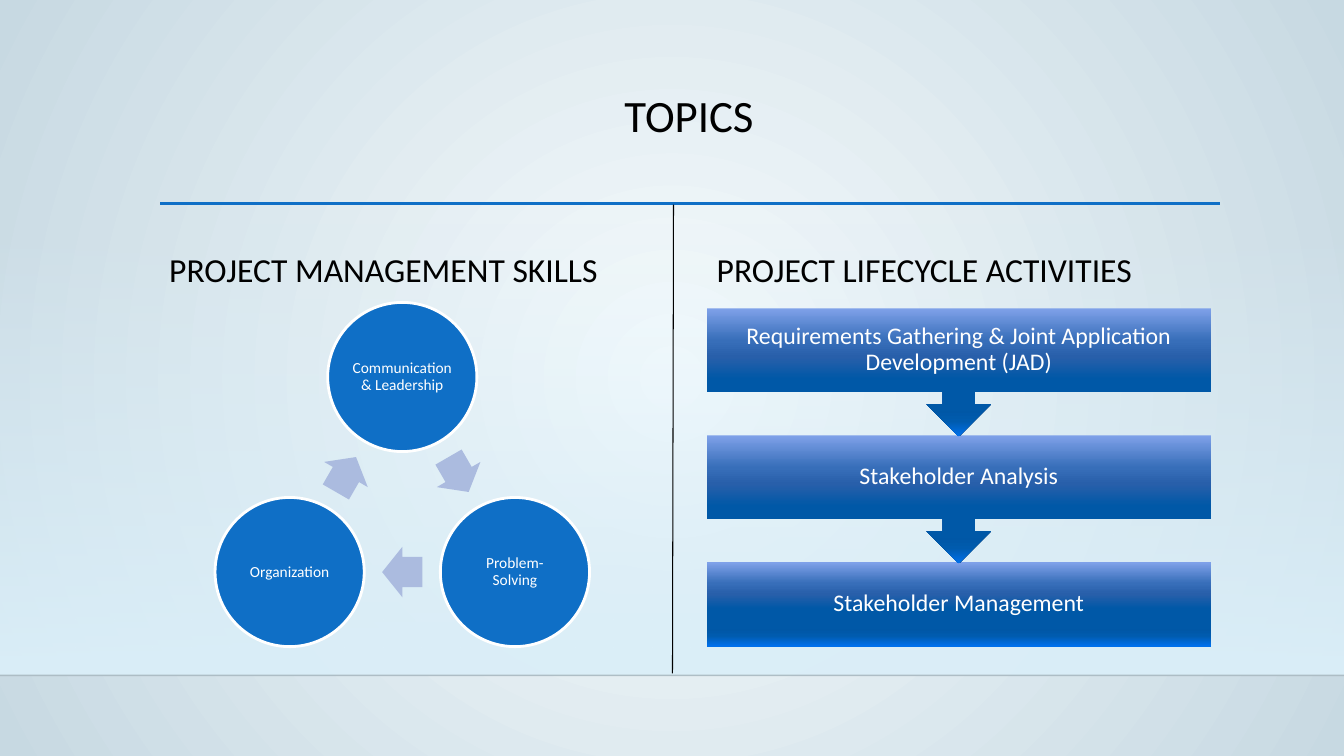
import math

from lxml import etree
from pptx import Presentation
from pptx.dml.color import RGBColor
from pptx.enum import shapes, text
from pptx.oxml import ns
from pptx.util import Inches, Pt

TITLE = "TOPICS"
HEADINGS = [("PROJECT MANAGEMENT SKILLS", 1.58), ("PROJECT LIFECYCLE ACTIVITIES", 7.01)]
SKILLS = ["Communication & Leadership", "Problem-Solving", "Organization"]
STAGES = [
    "Requirements Gathering & Joint Application Development (JAD)",
    "Stakeholder Analysis",
    "Stakeholder Management",
]
# Gradient stops: position %, colour, opacity %
BACKDROP = [(0, "F6FBFD", 100), (100, "C7D9E2", 100)]
GLOW = [(0, "DBEFF9", 0), (100, "DBEFF9", 100)]
STAGE_BLUES = [
    (0, "7FA1E9", 100), (25, "376EB9", 100), (38, "285FAA", 100), (55, "0058A7", 100),
    (80, "0057A6", 100), (88, "005BAE", 100), (100, "0070EB", 100),
]
# Lines: start, end, colour, points, opacity %
HORIZON = ((0, 6.7), (13.33, 6.7), "000001", 1, 20)
TITLE_RULE = ((1.59, 2.02), (12.1, 2.02), "0F6FC6", 2.5, 100)
DIVIDER = ((6.68, 2.03), (6.67, 6.68), "000000", 0.75, 100)
BLUE, PALE_BLUE, WHITE, BLACK = "0F6FC6", "ABBBDF", "FFFFFF", "000000"

CYCLE_X, CYCLE_Y, CYCLE_RADIUS = 3.99, 5.03, 1.29
CIRCLE = 1.48
ARROW_W, ARROW_H = 0.4, 0.5
STAGE_LEFT, STAGE_TOP, STAGE_W, STAGE_STEP = 7.01, 3.06, 5, 1.26
STAGE_H, CALLOUT_H = 0.83, 1.27


def colour(value):
    return RGBColor.from_string(value)


def add_part(parent, tag, **attributes):
    return etree.SubElement(parent, ns.qn(tag), {k: str(v) for k, v in attributes.items()})


def add_opacity(rgb, percent):
    if percent < 100:
        add_part(rgb, "a:alpha", val=percent * 1000)


def set_gradient(fill, owner, stops, circular=False):
    """Swap the solid fill inside owner for a top-down or circular gradient."""
    fill.solid()
    solid = owner.find(ns.qn("a:solidFill"))
    gradient = etree.Element(ns.qn("a:gradFill"), rotWithShape="1")
    stop_list = add_part(gradient, "a:gsLst")
    for position, value, opacity in stops:
        stop = add_part(stop_list, "a:gs", pos=position * 1000)
        add_opacity(add_part(stop, "a:srgbClr", val=value), opacity)
    if circular:
        circle = add_part(gradient, "a:path", path="circle")
        add_part(circle, "a:fillToRect", l=50000, t=50000, r=50000, b=50000)
    else:
        add_part(gradient, "a:lin", ang=90 * 60000, scaled=0)
    owner.replace(solid, gradient)


def add_line(page, start, end, value, points, opacity):
    line = page.shapes.add_connector(
        shapes.MSO_CONNECTOR.STRAIGHT, *[Inches(v) for v in start + end])
    line.line.color.rgb = colour(value)
    line.line.width = Pt(points)
    properties = line._element.spPr
    add_opacity(properties.find(".//" + ns.qn("a:srgbClr")), opacity)
    add_part(properties, "a:effectLst")


def add_shape(page, kind, left, top, width, height):
    shape = page.shapes.add_shape(kind, *[Inches(v) for v in (left, top, width, height)])
    shape.shadow.inherit = False
    shape.line.fill.background()
    return shape


def write(shape, words, size, value, anchor, align, inset=None, spacing=0.9):
    frame = shape.text_frame
    frame.text = words
    frame.word_wrap = True
    frame.vertical_anchor = anchor
    if inset is not None:
        frame.margin_left = frame.margin_right = Inches(inset)
        frame.margin_top = frame.margin_bottom = Inches(inset)
    para = frame.paragraphs[0]
    para.alignment = align
    para.line_spacing = spacing
    font = para.runs[0].font
    font.name, font.size = "Calibri", Pt(size)
    font.color.rgb = colour(value)


def add_text(page, box, *style, **options):
    textbox = page.shapes.add_textbox(*[Inches(v) for v in box])
    write(textbox, *style, **options)
    return textbox


def on_cycle(degrees, radius):
    angle = math.radians(degrees)
    return CYCLE_X + radius * math.cos(angle), CYCLE_Y + radius * math.sin(angle)


def add_skill_cycle(page):
    turn = 360 / len(SKILLS)
    for i, skill in enumerate(SKILLS):
        x, y = on_cycle(i * turn - 90, CYCLE_RADIUS)
        circle = add_shape(page, shapes.MSO_SHAPE.OVAL,
                           x - CIRCLE / 2, y - CIRCLE / 2, CIRCLE, CIRCLE)
        circle.fill.solid()
        circle.fill.fore_color.rgb = colour(BLUE)
        circle.line.color.rgb = colour(WHITE)
        circle.line.width = Pt(2)
        write(circle, skill, 11, WHITE, text.MSO_ANCHOR.MIDDLE, text.PP_ALIGN.CENTER, 0.02)

        x, y = on_cycle((i + 0.5) * turn - 90, CYCLE_RADIUS / 2)
        arrow = add_shape(page, shapes.MSO_SHAPE.RIGHT_ARROW,
                          x - ARROW_W / 2, y - ARROW_H / 2, ARROW_W, ARROW_H)
        arrow.adjustments[0], arrow.adjustments[1] = 0.6, 0.5
        arrow.rotation = (i + 0.5) * turn
        arrow.fill.solid()
        arrow.fill.fore_color.rgb = colour(PALE_BLUE)


def add_stages(page):
    last = len(STAGES) - 1
    for i in range(last, -1, -1):
        kind, height = shapes.MSO_SHAPE.DOWN_ARROW_CALLOUT, CALLOUT_H
        if i == last:
            kind, height = shapes.MSO_SHAPE.RECTANGLE, STAGE_H
        stage = add_shape(page, kind, STAGE_LEFT, STAGE_TOP + i * STAGE_STEP, STAGE_W, height)
        set_gradient(stage.fill, stage._element.spPr, STAGE_BLUES)
        write(stage, STAGES[i], 17, WHITE, text.MSO_ANCHOR.MIDDLE, text.PP_ALIGN.CENTER, 0.13)


def main():
    deck = Presentation()
    deck.slide_width, deck.slide_height = Inches(13.33), Inches(7.5)
    page = deck.slides.add_slide(deck.slide_layouts[6])

    backdrop = page.background.fill
    backdrop.solid()
    set_gradient(backdrop, page._element.find(".//" + ns.qn("p:bgPr")), BACKDROP, circular=True)
    glow = add_shape(page, shapes.MSO_SHAPE.RECTANGLE, 0, 2.21, 13.33, 4.49)
    set_gradient(glow.fill, glow._element.spPr, GLOW)
    add_line(page, *HORIZON)
    add_line(page, *TITLE_RULE)

    add_text(page, (1.58, 0.88, 10.51, 1.16), TITLE, 32, BLACK,
             text.MSO_ANCHOR.TOP, text.PP_ALIGN.CENTER)
    for heading, left in HEADINGS:
        box = add_text(page, (left, 2.39, 5.08, 0.88), heading, 24, BLACK,
                       text.MSO_ANCHOR.BOTTOM, text.PP_ALIGN.LEFT, spacing=1.0)
        box.text_frame.margin_bottom = Inches(0.4)

    add_skill_cycle(page)
    add_stages(page)
    add_line(page, *DIVIDER)
    deck.save("out.pptx")


if __name__ == "__main__":
    main()
